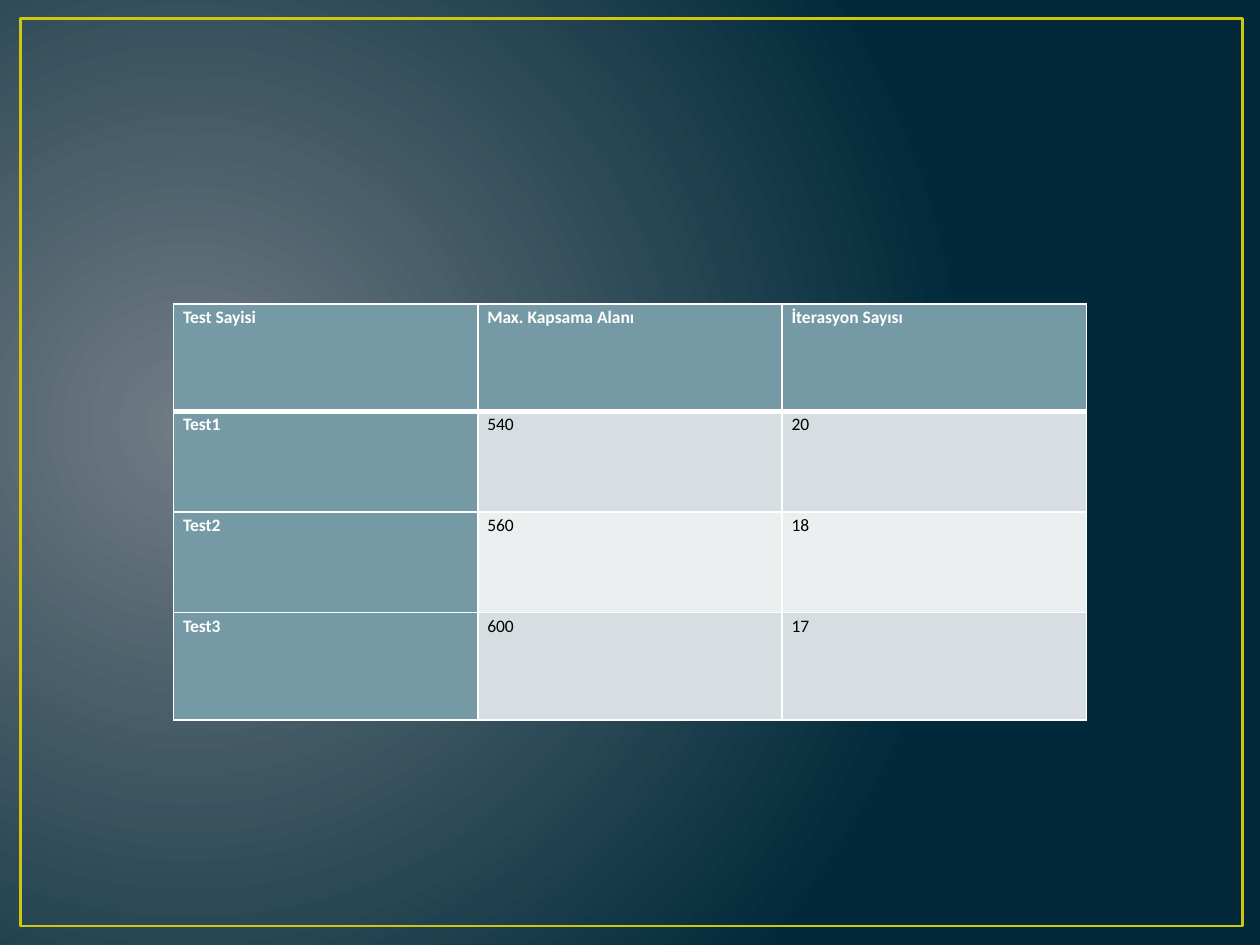
from lxml.etree import SubElement as Sub
from pptx import Presentation
from pptx.dml.color import RGBColor
from pptx.enum.shapes import MSO_SHAPE as Shape
from pptx.enum.text import PP_ALIGN as Align
from pptx.oxml.ns import qn
from pptx.util import Cm, Pt

WHITE = RGBColor(0xFF, 0xFF, 0xFF)
BLACK = RGBColor(0, 0, 0)
GOLD = RGBColor(0xCF, 0xC6, 0x0D)
GREY = RGBColor(0x71, 0x7C, 0x84)
NAVY = RGBColor(0x01, 0x29, 0x3A)
TEAL = RGBColor(0x75, 0x9A, 0xA5)
BANDS = RGBColor(0xEC, 0xEF, 0xF0), RGBColor(0xD6, 0xDE, 0xE1)

TESTS = [
    ("Test Sayisi", "Max. Kapsama Alanı", "İterasyon Sayısı"),
    ("Test1", "540", "20"),
    ("Test2", "560", "18"),
    ("Test3", "600", "17"),
]
HEIGHTS = 2.16, 2.03, 2.03, 2.16


def write(frame, text, size=10, font="Calibri", color=BLACK, bold=False):
    para = frame.paragraphs[0]
    para.alignment = Align.JUSTIFY
    para.line_spacing = 1.15
    run = para.add_run()
    run.text = text
    run.font.size = Pt(size)
    run.font.name = font
    run.font.bold = bold
    run.font.color.rgb = color


def border(cell, **widths):
    props = cell._tc.get_or_add_tcPr()
    for side in "LRTB":
        line = Sub(props, qn(f"a:ln{side}"), w=str(Pt(widths.get(side, 1))))
        fill = Sub(line, qn("a:solidFill"))
        Sub(fill, qn("a:srgbClr"), val=str(WHITE))


def backdrop(slide):
    fill = slide.background.fill
    fill.gradient()
    for stop, color in zip(fill.gradient_stops, (GREY, NAVY)):
        stop.color.rgb = color
    grad = slide.element.find(".//" + qn("a:gradFill"))
    grad.remove(grad.find(qn("a:lin")))
    glow = Sub(grad, qn("a:path"), path="circle")
    Sub(glow, qn("a:fillToRect"), l="15000", t="50000", r="85000", b="60000")


def frame(slide, left, top, width, height):
    rect = slide.shapes.add_shape(
        Shape.RECTANGLE, Cm(left), Cm(top), Cm(width), Cm(height))
    rect.shadow.inherit = False
    rect.fill.background()
    rect.line.color.rgb = GOLD
    rect.line.width = Pt(1.5)


def results(slide, left, top, width, height):
    count = len(TESTS[0])
    table = slide.shapes.add_table(
        len(TESTS), count, Cm(left), Cm(top), Cm(width), Cm(height)).table
    for col in table.columns:
        col.width = Cm(width / count)
    for r, (row, tall) in enumerate(zip(TESTS, HEIGHTS)):
        table.rows[r].height = Cm(height * tall / sum(HEIGHTS))
        for c, text in enumerate(row):
            cell = table.cell(r, c)
            head = r == 0 or c == 0
            border(cell, B=3 if r == 0 else 1, T=3 if r == 1 else 1)
            cell.fill.solid()
            cell.fill.fore_color.rgb = TEAL if head else BANDS[r % 2]
            cell.margin_left = cell.margin_right = Cm(0.19)
            cell.margin_top = cell.margin_bottom = 0
            write(cell.text_frame, text, color=WHITE if head else BLACK,
                  bold=head)


def main():
    deck = Presentation()
    deck.slide_width, deck.slide_height = Cm(25.4), Cm(19.05)
    slide = deck.slides.add_slide(deck.slide_layouts[6])
    backdrop(slide)
    frame(slide, 0.41, 0.38, 24.64, 18.29)
    results(slide, 3.5, 6.13, 18.4, 8.38)
    deck.save("out.pptx")


if __name__ == "__main__":
    main()
